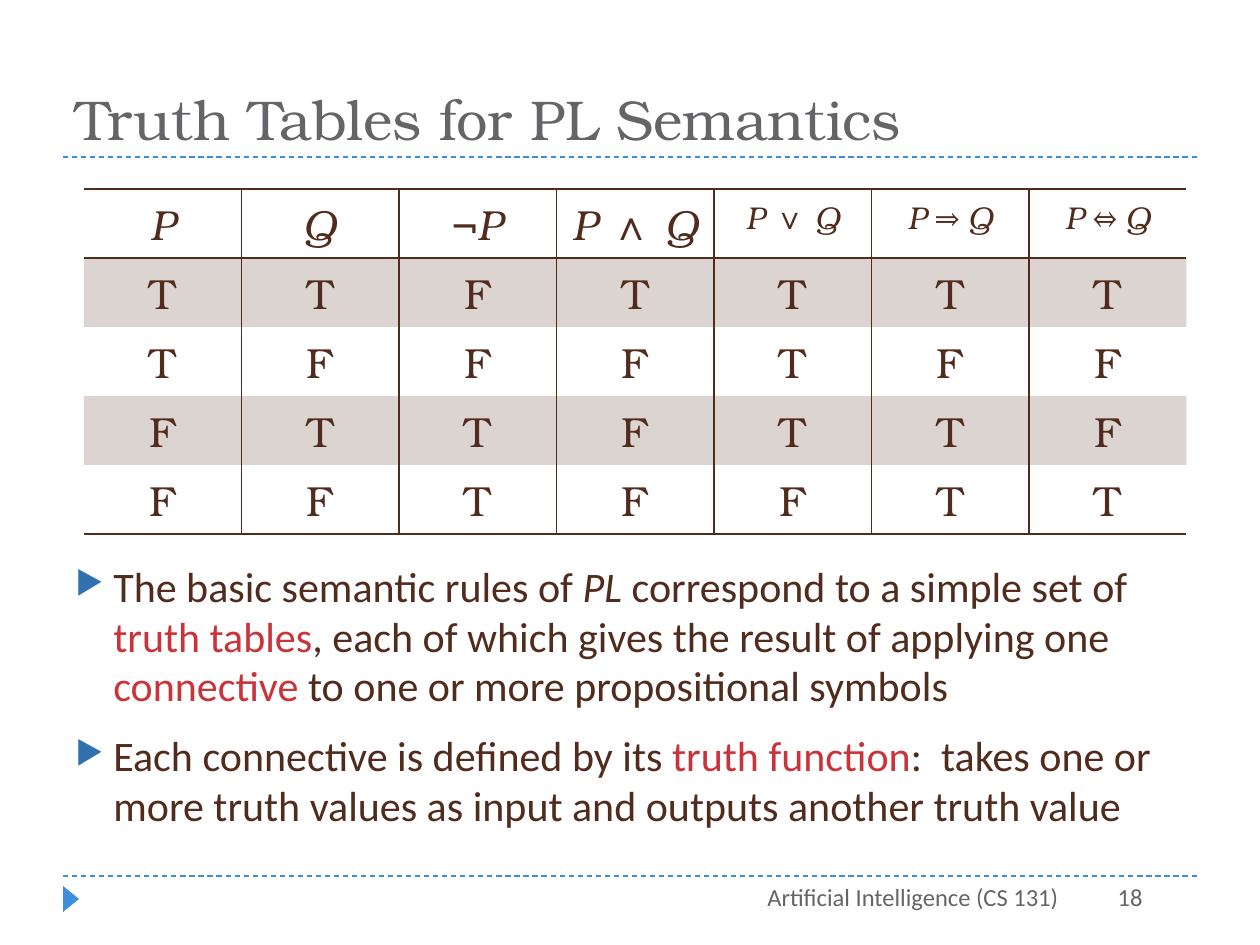
from lxml.etree import SubElement
from pptx import Presentation
from pptx.dml.color import RGBColor
from pptx.enum.dml import MSO_LINE
from pptx.enum.shapes import MSO_CONNECTOR, MSO_SHAPE
from pptx.enum.text import MSO_ANCHOR, PP_ALIGN
from pptx.oxml.ns import qn
from pptx.util import Pt

# Content: a run is text, or (text, style)
TITLE = "Truth Tables for PL Semantics"
HEADERS = [
    [("P", "italic")],
    [("Q", "italic")],
    ["¬", ("P", "italic")],
    [("P ", "italic"), "∧", (" Q", "italic")],
    [("P ", "italic"), "∨", (" Q", "italic")],
    [("P ", "italic"), "⇒", (" Q", "italic")],
    [("P ", "italic"), "⇔", (" Q", "italic")],
]
HEADER_SIZES = [24, 24, 24, 24, 18, 18, 18]
TRUTH_ROWS = ["TTFTTTT", "TFFFTFF", "FTTFTTF", "FFTFFTT"]
BULLETS = [
    ["The basic semantic rules of", (" PL", "italic"), " correspond to a simple set of ",
     ("truth tables", "key"), ", each of which gives the result of applying one ",
     ("connective", "key"), " to one or more propositional symbols"],
    ["Each connective is defined by its ", ("truth function", "key"),
     ":  takes one or more truth values as input and outputs another truth value"],
]
COURSE = "Artificial Intelligence (CS 131)"
PAGE = "18"

COLORS = {"brown": "512C1D", "gray": "646469", "key": "CB333B",
          "accent": "3E8EDE", "bullet": "3071AE"}
SERIF, SANS = "TeX Gyre Bonum", "Calibri"
EMU_PER_PX = 914400 / 126
TABLE_LEFT, TABLE_TOP, COL_W, ROW_H = 84, 189, 157.5, 69


def px(length):
    return round(length * EMU_PER_PX)


def rgb(name):
    return RGBColor.from_string(COLORS[name])


def write(paragraph, runs, font=SANS, size=14, color="brown", align=PP_ALIGN.LEFT):
    paragraph.alignment = align
    for item in [runs] if isinstance(runs, str) else runs:
        text, style = (item, None) if isinstance(item, str) else item
        run = paragraph.add_run()
        run.text = text
        run.font.name, run.font.size = font, Pt(size)
        run.font.italic = style == "italic"
        run.font.color.rgb = rgb("key" if style == "key" else color)


def add_frame(slide, left, top, width, height, anchor=MSO_ANCHOR.TOP):
    frame = slide.shapes.add_textbox(px(left), px(top), px(width), px(height)).text_frame
    frame.word_wrap = True
    frame.vertical_anchor = anchor
    return frame


def add_rule(slide, y):
    rule = slide.shapes.add_connector(MSO_CONNECTOR.STRAIGHT, px(63), px(y), px(1197), px(y))
    rule.line.color.rgb = rgb("accent")
    rule.line.width = Pt(0.75)
    rule.line.dash_style = MSO_LINE.DASH
    SubElement(rule._element.spPr, qn("a:effectLst"))


def add_bullet(paragraph):
    props = paragraph._p.get_or_add_pPr()
    props.set("marL", str(px(38)))
    props.set("indent", str(px(-38)))
    color = SubElement(props, qn("a:buClr"))
    SubElement(color, qn("a:srgbClr"), val=COLORS["bullet"])
    SubElement(props, qn("a:buSzPct"), val="76000")
    SubElement(props, qn("a:buChar"), char="▶")


def style_cell(cell, sides, shaded):
    props = cell._tc.get_or_add_tcPr()
    for side in ("L", "R", "T", "B"):
        border = SubElement(props, qn(f"a:ln{side}"), w=str(Pt(1)))
        if side in sides:
            fill = SubElement(border, qn("a:solidFill"))
            SubElement(fill, qn("a:srgbClr"), val=COLORS["brown"])
        else:
            SubElement(border, qn("a:noFill"))
    if shaded:
        cell.fill.solid()
        cell.fill.fore_color.rgb = rgb("brown")
        tint = props.find(qn("a:solidFill")).find(qn("a:srgbClr"))
        SubElement(tint, qn("a:alpha"), val="20000")
    else:
        cell.fill.background()


def add_truth_table(slide):
    rows = [HEADERS] + TRUTH_ROWS
    last_row, last_col = len(rows) - 1, len(HEADERS) - 1
    table = slide.shapes.add_table(
        len(rows), len(HEADERS), px(TABLE_LEFT), px(TABLE_TOP),
        px(COL_W * len(HEADERS)), px(ROW_H * len(rows))).table
    table.horz_banding = False
    for r, row in enumerate(rows):
        table.rows[r].height = px(ROW_H)
        for c, value in enumerate(row):
            table.columns[c].width = px(COL_W)
            cell = table.cell(r, c)
            write(cell.text_frame.paragraphs[0], value, font=SERIF,
                  size=HEADER_SIZES[c] if r == 0 else 24, align=PP_ALIGN.CENTER)
            sides = ("L" if c > 0 else "") + ("R" if c < last_col else "")
            sides += ("T" if r < 2 else "") + ("B" if r in (0, last_row) else "")
            style_cell(cell, sides, shaded=r % 2 == 1)


def main():
    prs = Presentation()
    prs.slide_width, prs.slide_height = px(1260), px(945)
    slide = prs.slides.add_slide(prs.slide_layouts[6])

    # Dashed rules and footer marker
    add_rule(slide, 876)
    add_rule(slide, 157)
    marker = slide.shapes.add_shape(MSO_SHAPE.ISOSCELES_TRIANGLE, px(58), px(891), px(26), px(16))
    marker.rotation = 90
    marker.shadow.inherit = False
    marker.fill.solid()
    marker.fill.fore_color.rgb = rgb("accent")
    marker.line.fill.background()

    # Title
    title = add_frame(slide, 63, 32, 1134, 126, anchor=MSO_ANCHOR.BOTTOM)
    write(title.paragraphs[0], TITLE, font=SERIF, size=32, color="gray")

    # Bullets
    body = add_frame(slide, 63, 557, 1134, 309)
    for i, runs in enumerate(BULLETS):
        paragraph = body.add_paragraph() if i else body.paragraphs[0]
        paragraph.line_spacing = 0.98
        paragraph.space_before = Pt(6 if i else 0)
        paragraph.space_after = Pt(6)
        add_bullet(paragraph)
        write(paragraph, runs, size=24)

    # Footer
    for text, left, width in [(COURSE, 483, 588), (PAGE, 1018, 137)]:
        footer = add_frame(slide, left, 876, width, 50)
        write(footer.paragraphs[0], text, color="gray", align=PP_ALIGN.RIGHT)

    add_truth_table(slide)
    prs.save("out.pptx")


if __name__ == "__main__":
    main()
